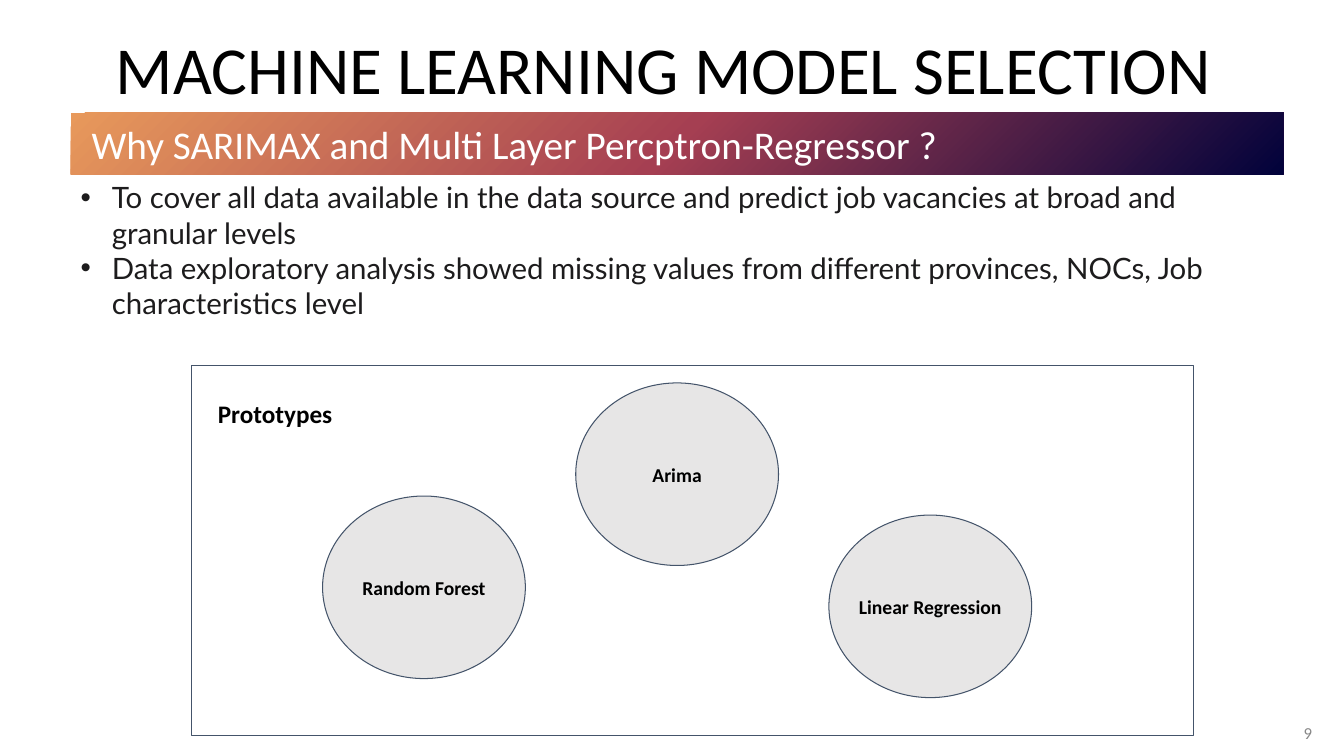
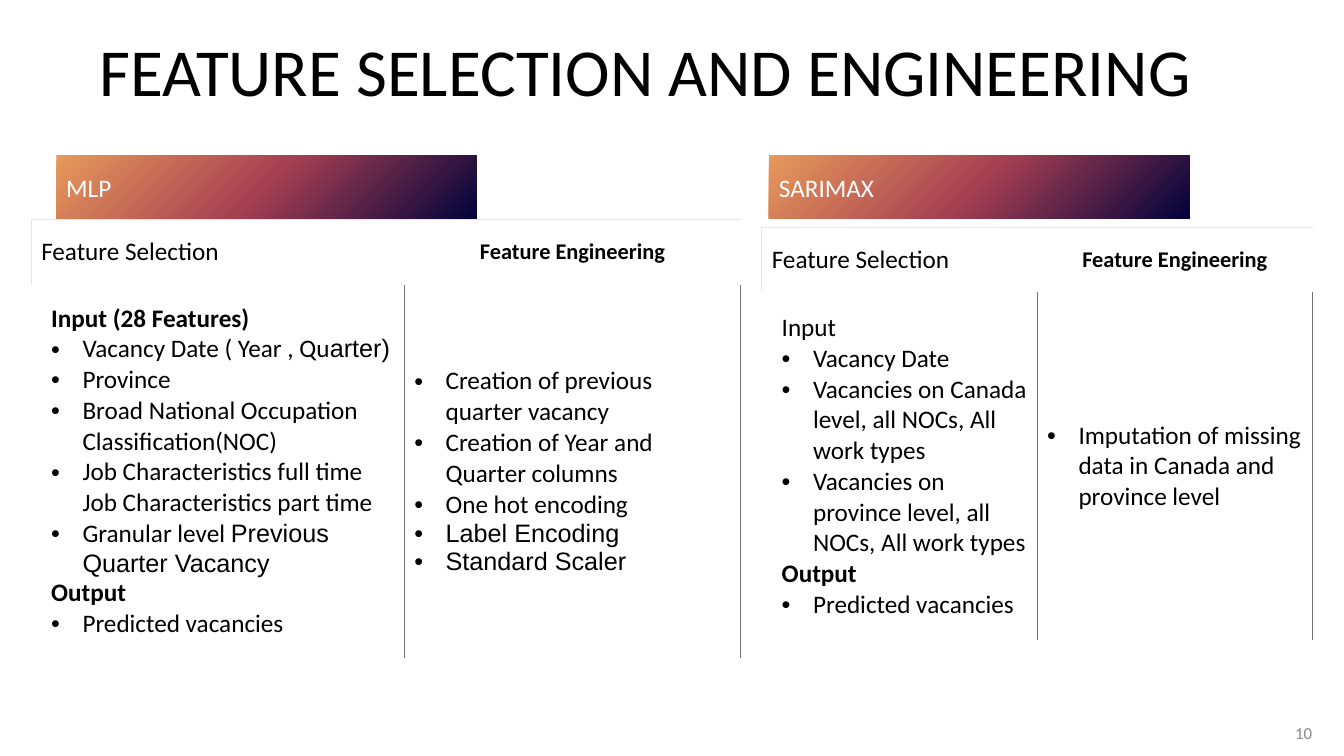
from pptx import Presentation
from pptx.dml.color import RGBColor
from pptx.enum.shapes import MSO_SHAPE
from pptx.enum.text import MSO_ANCHOR, PP_ALIGN
from pptx.oxml import parse_xml
from pptx.oxml.ns import nsdecls
from pptx.util import Cm, Pt

RECTANGLE, OVAL = MSO_SHAPE.RECTANGLE, MSO_SHAPE.OVAL
TOP, MIDDLE = MSO_ANCHOR.TOP, MSO_ANCHOR.MIDDLE
LEFT, CENTER, RIGHT = PP_ALIGN.LEFT, PP_ALIGN.CENTER, PP_ALIGN.RIGHT

# Shared style
BLACK, WHITE, BODY, GREY = "000000", "FFFFFF", "1D1C1D", "888888"
OUTLINE, PALE, RULE = "44546A", "E7E6E6", "757070"
BAND_STOPS = ((0, "01023B"), (50, "A53F52"), (100, "E8995B"))
MAIN_FONT, LIST_FONT, ALT_FONT = "Calibri", "Lato", "Arial"
THIN = Pt(0.75)
INDENT = Cm(0.79)


def color(value):
    return RGBColor.from_string(value)


def xml(tag, content="", attributes=""):
    return parse_xml(f"<a:{tag} {nsdecls('a')} {attributes}>{content}</a:{tag}>")


def solid(value):
    return f'<a:solidFill><a:srgbClr val="{value}"/></a:solidFill>'


# Text
def add_bullet(para, ink):
    props = para._p.get_or_add_pPr()
    props.set("marL", str(INDENT))
    props.set("indent", str(-INDENT))
    props.append(xml("buClr", f'<a:srgbClr val="{ink}"/>'))
    props.append(xml("buFont", attributes='typeface="Arial"'))
    props.append(xml("buChar", attributes='char="•"'))


def write(frame, text, size=18, font=MAIN_FONT, ink=BLACK, bold=False,
          align=LEFT, bullet=False):
    """Add one paragraph; text is a string or a list of (text, font) spans."""
    para = frame.paragraphs[0]
    if para.runs:
        para = frame.add_paragraph()
    para.alignment = align
    if bullet:
        add_bullet(para, ink)
    spans = [(text, font)] if isinstance(text, str) else text
    for words, typeface in spans:
        span = para.add_run()
        span.text = words
        span.font.name = typeface
        span.font.size = Pt(size)
        span.font.bold = bold
        span.font.color.rgb = color(ink)


def set_frame(shape, anchor=TOP, left=0.25, top=0.13):
    frame = shape.text_frame
    frame.word_wrap = True
    frame.vertical_anchor = anchor
    frame.margin_left, frame.margin_top = Cm(left), Cm(top)
    return frame


def add_box(page, left, top, width, height, anchor=TOP):
    box = page.shapes.add_textbox(Cm(left), Cm(top), Cm(width), Cm(height))
    return set_frame(box, anchor)


# Shapes
def add_shape(page, kind, left, top, width, height, fill=None, line=None):
    shape = page.shapes.add_shape(kind, Cm(left), Cm(top), Cm(width), Cm(height))
    shape.shadow.inherit = False
    if fill:
        shape.fill.solid()
        shape.fill.fore_color.rgb = color(fill)
    else:
        shape.fill.background()
    if line:
        shape.line.color.rgb = color(line)
        shape.line.width = THIN
    else:
        shape.line.fill.background()
    return shape


def add_band(page, text, left, top, width, height, size=18, inset=0.25):
    band = add_shape(page, RECTANGLE, left, top, width, height)
    stops = "".join(f'<a:gs pos="{place * 1000}"><a:srgbClr val="{value}"/></a:gs>'
                    for place, value in BAND_STOPS)
    gradient = xml("gradFill", f'<a:gsLst>{stops}</a:gsLst><a:path path="circle">'
                   '<a:fillToRect l="100000" t="100000"/></a:path>')
    props = band._element.spPr
    props.replace(props.find("{*}noFill"), gradient)
    write(set_frame(band, MIDDLE, inset), text, size, ink=WHITE)


def add_circle(page, text, left, top):
    circle = add_shape(page, OVAL, left, top, 5.11, 4.6, PALE, OUTLINE)
    frame = set_frame(circle, MIDDLE)
    frame.word_wrap = False
    write(frame, text, 14, bold=True, align=CENTER)


# Table
def style_cell(cell, inset=0.25, **borders):
    cell.vertical_anchor = MIDDLE
    cell.margin_left = Cm(inset)
    cell.fill.solid()
    cell.fill.fore_color.rgb = color(WHITE)
    props = cell._tc.get_or_add_tcPr()
    for place, side in enumerate("LRTB"):
        paint = solid(borders[side]) if side in borders else "<a:noFill/>"
        props.insert(place, xml(f"ln{side}", paint, f'w="{THIN}"'))


def add_feature_table(page, left, top, widths, body_height, selection, engineering):
    """Draw the two columns; selection holds (text, style) pairs."""
    heights = (1.63, body_height)
    table = page.shapes.add_table(2, 2, Cm(left), Cm(top), Cm(sum(widths)),
                                  Cm(sum(heights))).table
    table.first_row = table.horz_banding = False
    for column, width in zip(table.columns, widths):
        column.width = Cm(width)
    for row, height in zip(table.rows, heights):
        row.height = Cm(height)

    style_cell(table.cell(0, 0), L=PALE, T=PALE)
    style_cell(table.cell(0, 1), T=PALE)
    style_cell(table.cell(1, 0), inset=0.5, R=RULE)
    style_cell(table.cell(1, 1), L=RULE, R=RULE)

    write(table.cell(0, 0).text_frame, "Feature Selection")
    write(table.cell(0, 1).text_frame, "Feature Engineering", 16, bold=True, align=CENTER)
    for text, style in selection:
        write(table.cell(1, 0).text_frame, text, **style)
    for text, font in engineering:
        write(table.cell(1, 1).text_frame, text, font=font, bullet=True)


# Slides
def add_page(deck, title, number, left, top):
    page = deck.slides.add_slide(deck.slide_layouts[6])
    write(add_box(page, left, top, 30.56, 2.29, MIDDLE), title, 48, align=CENTER)
    write(add_box(page, 32.08, 17.96, 1.24, 1.02, MIDDLE), number, 12,
          ink=GREY, align=RIGHT)
    return page


def build_model_page(deck):
    page = add_page(deck, "MACHINE LEARNING MODEL SELECTION", "9", 1.45, 0.56)
    add_band(page, "Why SARIMAX and Multi Layer Percptron-Regressor ?",
             1.78, 2.84, 30.56, 1.55, size=28, inset=0.53)
    reasons = add_box(page, 1.78, 4.39, 30.02, 3.86)
    for text in (
        "To cover all data available in the data source and predict job vacancies "
        "at broad and granular levels",
        "Data exploratory analysis showed missing values from different provinces, "
        "NOCs, Job characteristics level",
    ):
        write(reasons, text, 21, LIST_FONT, BODY, bullet=True)

    # Prototypes
    panel = add_shape(page, RECTANGLE, 4.83, 9.22, 25.25, 9.32, line=OUTLINE)
    write(set_frame(panel, left=0.66, top=0.81), "Prototypes", bold=True)
    circles = (("Random Forest", 12.5), ("Arima", 9.65), ("Linear Regression", 12.98))
    for place, (name, top) in enumerate(circles):
        add_circle(page, name, 8.13 + place * 6.38, top)


def build_feature_page(deck):
    page = add_page(deck, "FEATURE SELECTION AND ENGINEERING", "10", 0.99, 0.61)
    for name, left in (("MLP", 1.42), ("SARIMAX", 19.38)):
        add_band(page, name, left, 3.91, 10.59, 1.6)

    plain, head, item = {}, {"bold": True}, {"bullet": True}
    output = [("Output", head), ("Predicted vacancies", item)]
    add_feature_table(
        page, 0.79, 5.54, (9.4, 8.48), 9.4,
        [("Input (28 Features)", head),
         ([("Vacancy Date ( Year , Qu", MAIN_FONT), ("arter)", ALT_FONT)], item),
         ("Province", item),
         ("Broad National Occupation Classification(NOC)", item),
         ("Job Characteristics full time Job Characteristics part time", item),
         ([("Granular level ", MAIN_FONT), ("Previous Quarter Vacancy", ALT_FONT)], item),
         *output],
        [("Creation of previous quarter vacancy", MAIN_FONT),
         ("Creation of Year and Quarter columns", MAIN_FONT),
         ("One hot encoding", MAIN_FONT),
         ("Label Encoding", ALT_FONT),
         ("Standard Scaler", ALT_FONT)])
    add_feature_table(
        page, 19.2, 5.74, (6.94, 6.94), 8.76,
        [("Input", plain),
         ("Vacancy Date", item),
         ("Vacancies on Canada level, all NOCs, All work types", item),
         ("Vacancies on province level, all NOCs, All work types", item),
         *output],
        [("Imputation of missing data in Canada and province level", MAIN_FONT)])


def main():
    deck = Presentation()
    deck.slide_width, deck.slide_height = Cm(33.87), Cm(19.05)
    build_model_page(deck)
    build_feature_page(deck)
    deck.save("out.pptx")


if __name__ == "__main__":
    main()
